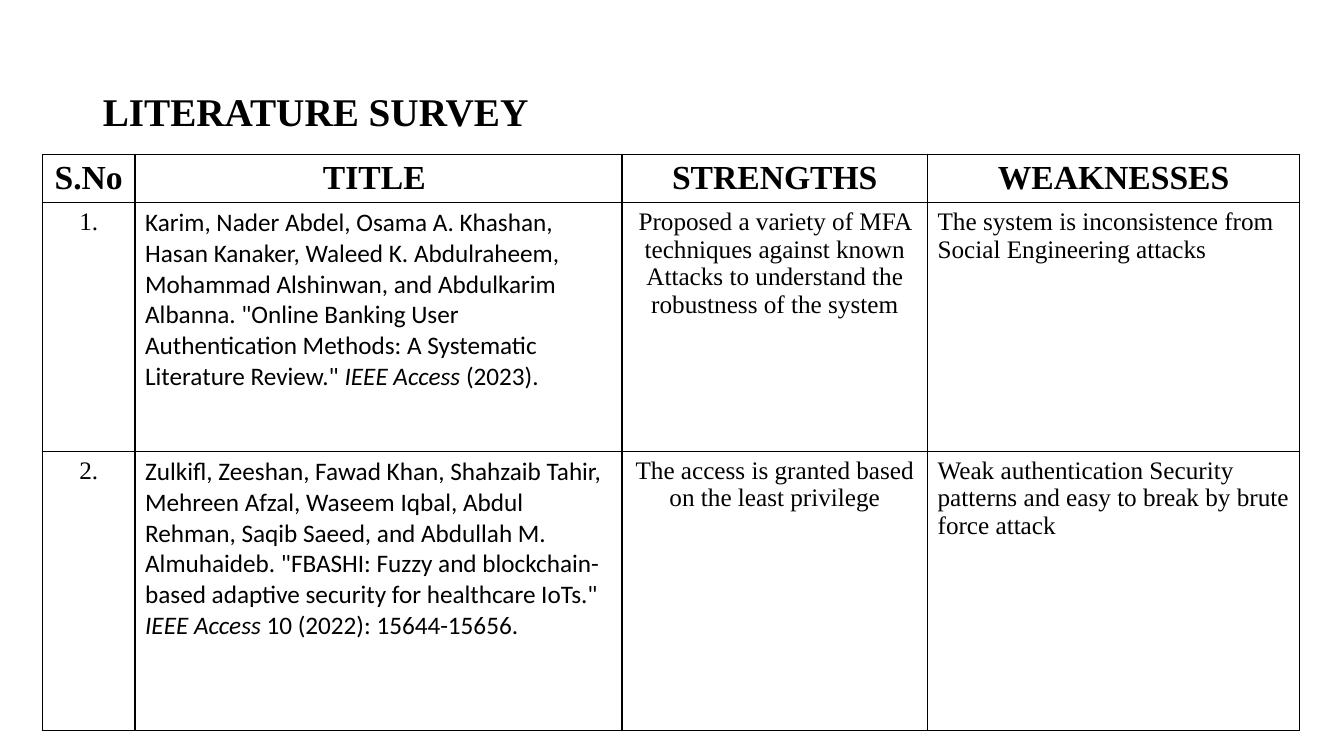
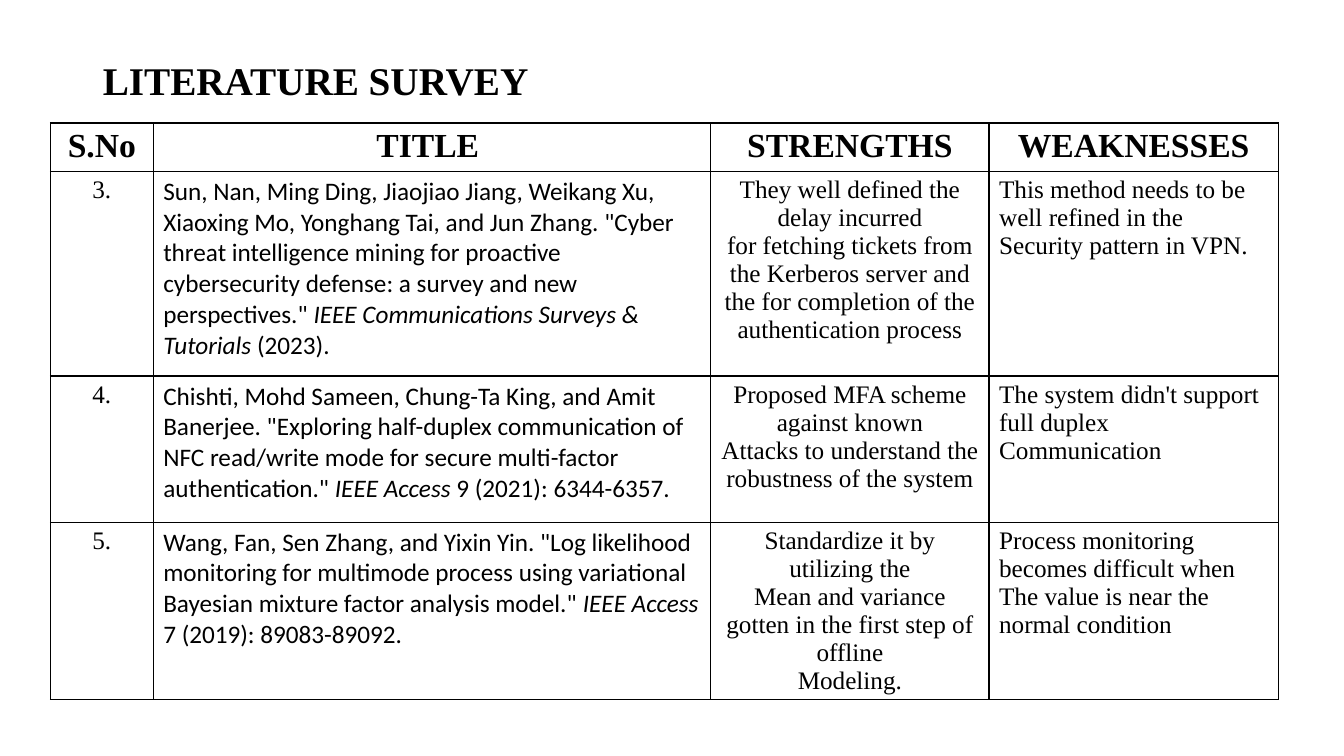
"""Build two literature survey slides, each with a title and a ruled table."""
import dataclasses

import lxml.etree
import pptx
import pptx.dml.color
import pptx.enum.text
import pptx.oxml.ns
import pptx.util

ALIGN = pptx.enum.text.PP_ALIGN
PX = 9144
SIZE = (1333, 750)


@dataclasses.dataclass(frozen=True)
class Theme:
    ink: str = "000000"
    paper: str = "FFFFFF"
    serif: str = "Times New Roman"
    sans: str = "Calibri"
    title: int = 28
    head: int = 24
    body: int = 18
    rule: int = 1


THEME = Theme()
TITLE = "LITERATURE SURVEY"
HEADS = ("S.No", "TITLE ", "STRENGTHS", "WEAKNESSES")
ALIGNS = (ALIGN.CENTER, ALIGN.LEFT, ALIGN.CENTER, ALIGN.LEFT)

SLIDES = [
    {
        "title": (92, 40, 1150, 145),
        "spot": (42, 153),
        "cols": (92, 483, 303, 369),
        "rows": (48, 247, 277),
        "papers": [
            (
                "1.",
                ('Karim, Nader Abdel, Osama A. Khashan, Hasan Kanaker, Waleed K. Abdulraheem, '
                 'Mohammad Alshinwan, and Abdulkarim Albanna. "Online Banking User '
                 'Authentication Methods: A Systematic Literature Review." ',
                 "IEEE Access", " (2023)."),
                ["Proposed a variety of MFA techniques against known",
                 "Attacks to understand the robustness of the system"],
                ["The system is inconsistence from Social Engineering attacks"],
            ),
            (
                "2.",
                ('Zulkifl, Zeeshan, Fawad Khan, Shahzaib Tahir, Mehreen Afzal, Waseem Iqbal, '
                 'Abdul Rehman, Saqib Saeed, and Abdullah M. Almuhaideb. "FBASHI: Fuzzy and '
                 'blockchain-based adaptive security for healthcare IoTs." ',
                 "IEEE Access", " 10 (2022): 15644-15656."),
                ["The access is granted based on the least privilege"],
                ["Weak authentication Security patterns and easy to break by brute force attack"],
            ),
        ],
    },
    {
        "title": (92, 10, 1150, 145),
        "spot": (50, 122),
        "cols": (102, 553, 276, 287),
        "rows": (48, 203, 145, 176),
        "papers": [
            (
                "3.",
                ('Sun, Nan, Ming Ding, Jiaojiao Jiang, Weikang Xu, Xiaoxing Mo, Yonghang Tai, '
                 'and Jun Zhang. "Cyber threat intelligence mining for proactive cybersecurity '
                 'defense: a survey and new perspectives." ',
                 "IEEE Communications Surveys & Tutorials", " (2023)."),
                ["They well defined the delay incurred",
                 "for fetching tickets from the Kerberos server and the for completion of the "
                 "authentication process"],
                ["This method needs to be well refined in the Security pattern in VPN."],
            ),
            (
                "4.",
                ('Chishti, Mohd Sameen, Chung-Ta King, and Amit Banerjee. "Exploring half-duplex '
                 'communication of NFC read/write mode for secure multi-factor '
                 'authentication." ',
                 "IEEE Access", " 9 (2021): 6344-6357."),
                ["Proposed MFA scheme against known",
                 "Attacks to understand the robustness of the system"],
                ["The system didn't support full duplex Communication"],
            ),
            (
                "5.",
                ('Wang, Fan, Sen Zhang, and Yixin Yin. "Log likelihood monitoring for multimode '
                 'process using variational Bayesian mixture factor analysis model." ',
                 "IEEE Access", " 7 (2019): 89083-89092."),
                ["Standardize it by utilizing the",
                 "Mean and variance gotten in the first step of offline",
                 "Modeling."],
                ["Process monitoring becomes difficult when",
                 "The value is near the normal condition"],
            ),
        ],
    },
]


def add_run(para, text, size, face=THEME.serif, bold=False, slant=False):
    run = para.add_run()
    run.text = text
    font = run.font
    font.size = pptx.util.Pt(size)
    font.name = face
    font.bold = bold
    font.italic = slant
    font.color.rgb = pptx.dml.color.RGBColor.from_string(THEME.ink)


def add_lines(frame, lines, align, size=THEME.body, bold=False):
    for i, line in enumerate(lines):
        para = frame.add_paragraph() if i else frame.paragraphs[0]
        para.alignment = align
        add_run(para, line, size, bold=bold)


def add_cite(frame, parts):
    para = frame.paragraphs[0]
    para.alignment = ALIGN.LEFT
    for i, part in enumerate(parts):
        add_run(para, part, THEME.body, THEME.sans, slant=i == 1)


def style_cell(cell):
    name = pptx.oxml.ns.qn
    make = lxml.etree.SubElement
    props = cell._tc.get_or_add_tcPr()
    for side in "LRTB":
        line = make(props, name(f"a:ln{side}"), w=str(pptx.util.Pt(THEME.rule)))
        make(make(line, name("a:solidFill")), name("a:srgbClr"), val=THEME.ink)
    cell.fill.solid()
    cell.fill.fore_color.rgb = pptx.dml.color.RGBColor.from_string(THEME.paper)


def add_title(slide, box):
    title = slide.shapes.title
    title.left, title.top, title.width, title.height = (n * PX for n in box)
    frame = title.text_frame
    frame.auto_size = pptx.enum.text.MSO_AUTO_SIZE.NONE
    frame.vertical_anchor = pptx.enum.text.MSO_ANCHOR.MIDDLE
    add_lines(frame, [TITLE], ALIGN.LEFT, THEME.title, True)
    frame.paragraphs[0].line_spacing = 0.9


def add_grid(slide, data):
    cols, rows = data["cols"], data["rows"]
    box = (n * PX for n in (*data["spot"], sum(cols), sum(rows)))
    grid = slide.shapes.add_table(len(rows), len(cols), *box).table
    grid.first_row = grid.horz_banding = False
    for col, width in zip(grid.columns, cols):
        col.width = width * PX
    for row, height in zip(grid.rows, rows):
        row.height = height * PX
    for cell in grid.iter_cells():
        style_cell(cell)
    for c, head in enumerate(HEADS):
        add_lines(grid.cell(0, c).text_frame, [head], ALIGN.CENTER, THEME.head, True)
    for r, (num, cite, pros, cons) in enumerate(data["papers"], 1):
        add_cite(grid.cell(r, 1).text_frame, cite)
        for c, lines in ((0, [num]), (2, pros), (3, cons)):
            add_lines(grid.cell(r, c).text_frame, lines, ALIGNS[c])


def main():
    deck = pptx.Presentation()
    deck.slide_width, deck.slide_height = (n * PX for n in SIZE)
    for data in SLIDES:
        slide = deck.slides.add_slide(deck.slide_layouts[5])
        add_title(slide, data["title"])
        add_grid(slide, data)
    deck.save("out.pptx")


if __name__ == "__main__":
    main()
